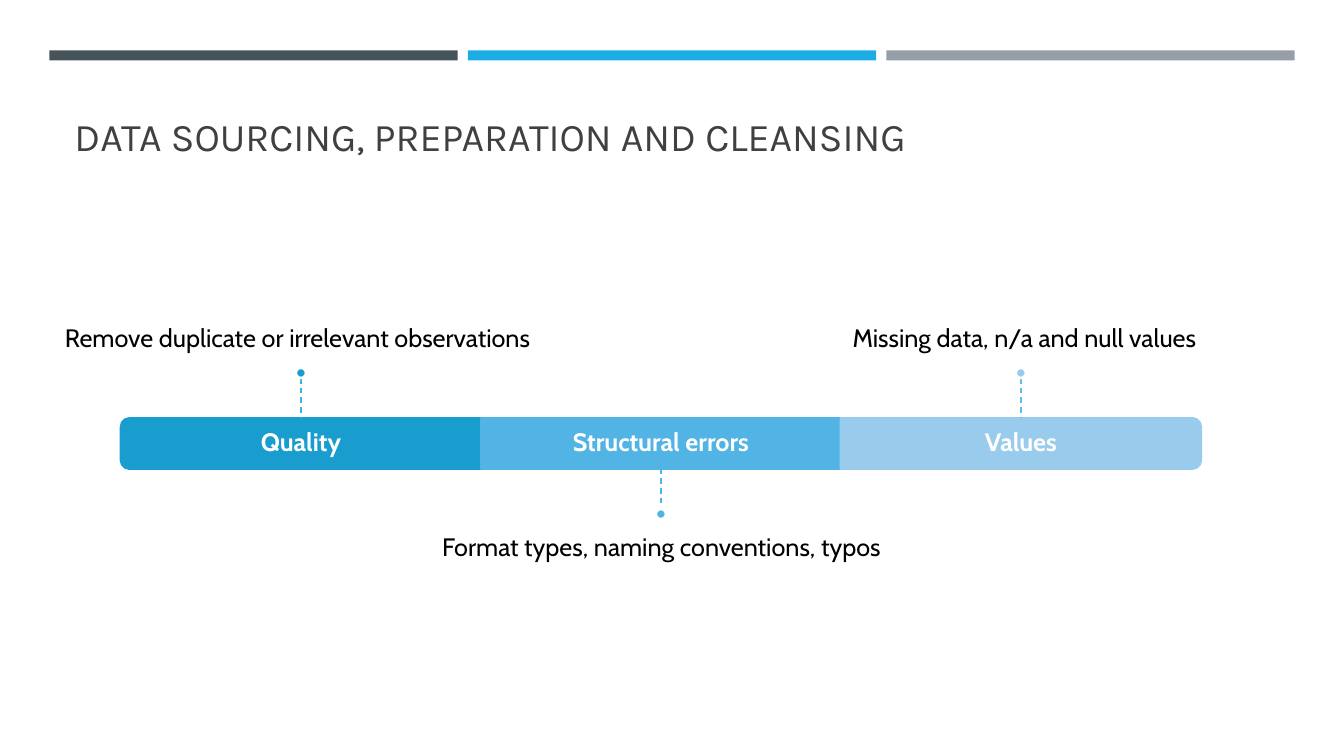
from dataclasses import dataclass

from lxml.etree import SubElement
from pptx import Presentation
from pptx.dml.color import RGBColor
from pptx.enum.dml import MSO_LINE
from pptx.enum.shapes import MSO_CONNECTOR, MSO_SHAPE
from pptx.enum.text import MSO_ANCHOR, PP_ALIGN
from pptx.oxml.ns import qn
from pptx.shapes.autoshape import Shape
from pptx.slide import Slide
from pptx.util import Inches, Pt


@dataclass(frozen=True)
class Theme:
    title_font: str = "Karla"
    body_font: str = "Cabin"
    title_size: float = 28
    body_size: float = 18
    outline: float = 1.75
    dash: float = 1
    title: str = "404040"
    note: str = "000000"
    white: str = "FFFFFF"
    header_bars: tuple[str, ...] = ("465359", "1CADE4", "969FA7")


@dataclass(frozen=True)
class Segment:
    label: str
    note: str
    note_center: float
    fill: str
    stem: str
    rotation: int | None
    note_above: bool


THEME = Theme()
SEGMENTS = (
    Segment("Quality", "Remove duplicate or irrelevant observations", 2.95,
            "199DCF", "36B3E9", 270, True),
    Segment("Structural errors", "Format types, naming conventions, typos", 6.56,
            "52B3E5", "48B8EC", None, False),
    Segment("Values", "Missing data, n/a and null values", 10.16,
            "99CBEC", "5ABEEF", 90, True),
)
BAND_LEFT, BAND_TOP = 1.2, 4.15
SEGMENT_WIDTH, SEGMENT_HEIGHT = 3.57, 0.5
STEM_LENGTH, DOT_SIZE = 0.4, 0.1
NOTE_WIDTH, NOTE_HEIGHT, NOTE_GAP = 5.95, 1.75, 0.15


def add_text(page: Slide, text: str, left: float, top: float, width: float,
             height: float, *, font: str = THEME.body_font,
             size: float = THEME.body_size, color: str = THEME.note,
             bold: bool = False, align: PP_ALIGN = PP_ALIGN.CENTER,
             anchor: MSO_ANCHOR = MSO_ANCHOR.MIDDLE, line_spacing: float = 0.9,
             insets: tuple[float, float, float, float] = (0, 0, 0, 0)) -> None:
    """Add a one-paragraph box; insets run left, top, right, bottom."""
    box = page.shapes.add_textbox(Inches(left), Inches(top), Inches(width), Inches(height))
    frame = box.text_frame
    frame.word_wrap = True
    frame.vertical_anchor = anchor
    (frame.margin_left, frame.margin_top,
     frame.margin_right, frame.margin_bottom) = map(Inches, insets)
    para = frame.paragraphs[0]
    para.alignment = align
    para.line_spacing = line_spacing
    span = para.add_run()
    span.text = text
    span.font.name = font
    span.font.size = Pt(size)
    span.font.bold = bold
    span.font.color.rgb = RGBColor.from_string(color)


def add_filled(page: Slide, kind: MSO_SHAPE, left: float, top: float, width: float,
               height: float, fill: str, outline: str | None = None) -> Shape:
    shape = page.shapes.add_shape(kind, Inches(left), Inches(top), Inches(width), Inches(height))
    shape.shadow.inherit = False
    shape.fill.solid()
    shape.fill.fore_color.rgb = RGBColor.from_string(fill)
    if outline:
        shape.line.color.rgb = RGBColor.from_string(outline)
        shape.line.width = Pt(THEME.outline)
    else:
        shape.line.fill.background()
    return shape


def add_stem(page: Slide, x: float, top: float, color: str) -> None:
    stem = page.shapes.add_connector(MSO_CONNECTOR.STRAIGHT, Inches(x), Inches(top),
                                     Inches(x), Inches(top + STEM_LENGTH))
    stem.line.color.rgb = RGBColor.from_string(color)
    stem.line.width = Pt(THEME.dash)
    stem.line.dash_style = MSO_LINE.DASH
    SubElement(stem._element.spPr, qn("a:effectLst"))


def add_segment_bar(page: Slide, left: float, segment: Segment) -> None:
    """Draw one part of the band; end parts are turned so their round corners face out."""
    if segment.rotation is None:
        add_filled(page, MSO_SHAPE.RECTANGLE, left, BAND_TOP, SEGMENT_WIDTH,
                   SEGMENT_HEIGHT, segment.fill, segment.fill)
        return
    shift = (SEGMENT_WIDTH - SEGMENT_HEIGHT) / 2
    bar = add_filled(page, MSO_SHAPE.ROUND_2_SAME_RECTANGLE, left + shift, BAND_TOP - shift,
                     SEGMENT_HEIGHT, SEGMENT_WIDTH, segment.fill, segment.fill)
    bar.rotation = segment.rotation


def add_segment(page: Slide, index: int, segment: Segment) -> None:
    left = BAND_LEFT + index * SEGMENT_WIDTH
    center = left + SEGMENT_WIDTH / 2
    add_segment_bar(page, left, segment)
    add_text(page, segment.label, left, BAND_TOP, SEGMENT_WIDTH, SEGMENT_HEIGHT,
             color=THEME.white, bold=True, insets=(0.15,) * 4)
    if segment.note_above:
        stem_top = BAND_TOP - STEM_LENGTH
        dot_top = stem_top - DOT_SIZE
        note_top = dot_top - NOTE_HEIGHT
        anchor, insets = MSO_ANCHOR.BOTTOM, (0, 0, 0, NOTE_GAP)
    else:
        stem_top = BAND_TOP + SEGMENT_HEIGHT
        dot_top = stem_top + STEM_LENGTH
        note_top = dot_top + DOT_SIZE
        anchor, insets = MSO_ANCHOR.TOP, (0, NOTE_GAP, 0, 0)
    add_text(page, segment.note, segment.note_center - NOTE_WIDTH / 2, note_top,
             NOTE_WIDTH, NOTE_HEIGHT, anchor=anchor, insets=insets)
    add_stem(page, center, stem_top, segment.stem)
    add_filled(page, MSO_SHAPE.OVAL, center - DOT_SIZE / 2, dot_top, DOT_SIZE, DOT_SIZE,
               segment.fill, THEME.white)


def main() -> None:
    deck = Presentation()
    deck.slide_width, deck.slide_height = Inches(13.33), Inches(7.5)
    page = deck.slides.add_slide(deck.slide_layouts[6])
    for index, color in enumerate(THEME.header_bars):
        add_filled(page, MSO_SHAPE.RECTANGLE, 0.49 + index * 4.15, 0.5, 4.05, 0.1, color)
    add_text(page, "DATA SOURCING, PREPARATION AND CLEANSING", 0.64, 0.98, 12.06, 0.65,
             font=THEME.title_font, size=THEME.title_size, color=THEME.title,
             align=PP_ALIGN.LEFT, anchor=MSO_ANCHOR.BOTTOM, line_spacing=1,
             insets=(0.1, 0.05, 0.1, 0.05))
    for index, segment in enumerate(SEGMENTS):
        add_segment(page, index, segment)
    deck.save("out.pptx")


if __name__ == "__main__":
    main()
